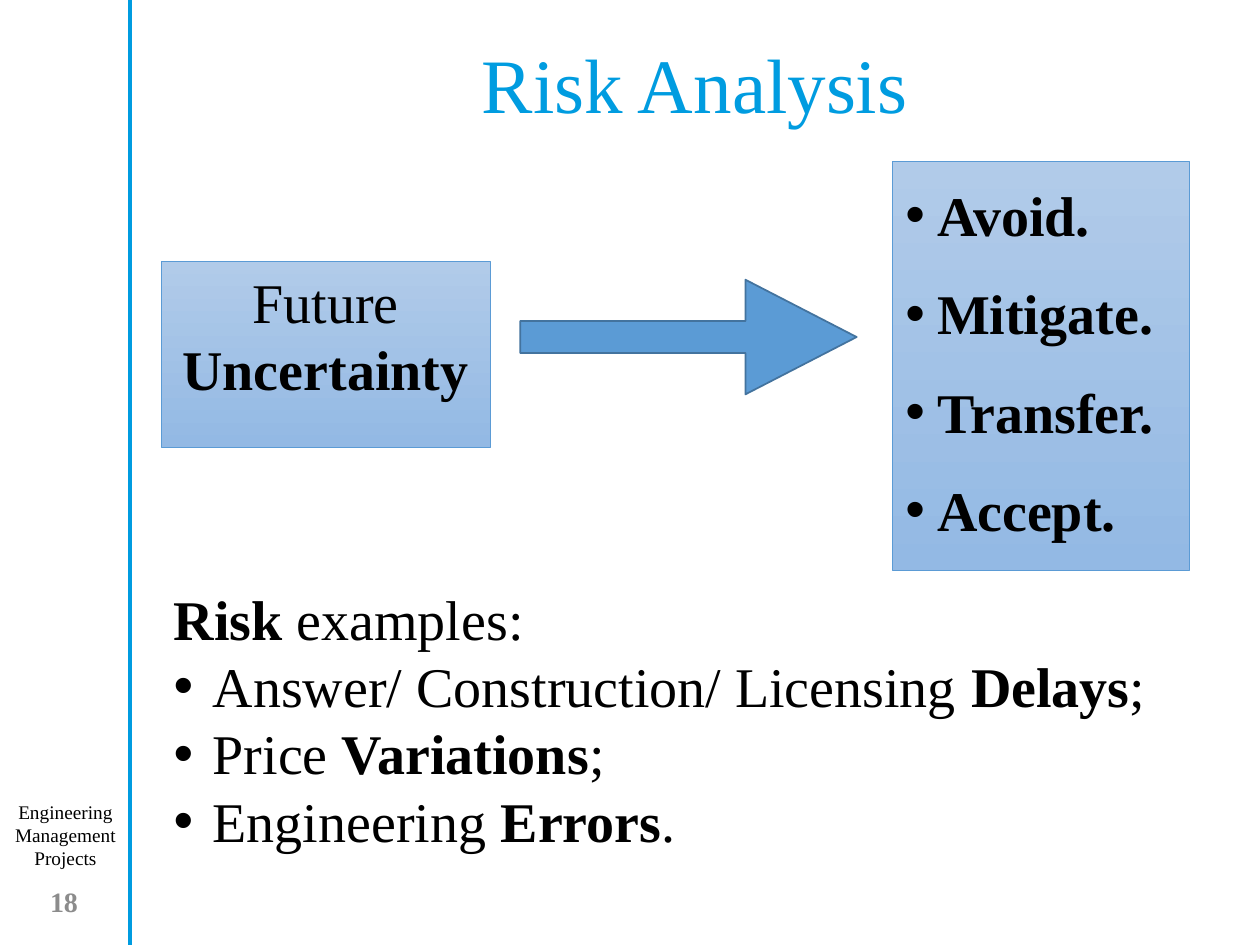
from lxml.etree import SubElement
from pptx import Presentation
from pptx.dml.color import RGBColor
from pptx.enum.shapes import MSO_CONNECTOR, MSO_SHAPE
from pptx.enum.text import MSO_ANCHOR, PP_ALIGN
from pptx.oxml.ns import qn
from pptx.util import Cm, Pt

FONT = "Times New Roman"
BLACK = RGBColor(0x00, 0x00, 0x00)
GREY = RGBColor(0x8C, 0x8C, 0x8C)
CYAN = RGBColor(0x00, 0x9C, 0xE0)
BLUE = RGBColor(0x5B, 0x9B, 0xD5)
DARK_BLUE = RGBColor(0x43, 0x73, 0x9E)
PALE_TOP = RGBColor(0xB1, 0xCB, 0xE9)
PALE_BOTTOM = RGBColor(0x93, 0xB9, 0xE4)


def add_bullet(paragraph, indent):
    properties = paragraph._p.get_or_add_pPr()
    properties.set("marL", str(indent))
    properties.set("indent", str(-indent))
    SubElement(properties, qn("a:buFont"), typeface="Arial")
    SubElement(properties, qn("a:buChar"), char="•")


def write(shape, lines, size=32, color=BLACK, align=PP_ALIGN.LEFT,
          anchor=MSO_ANCHOR.TOP, spacing=None, before=None):
    frame = shape.text_frame
    frame.word_wrap = True
    frame.vertical_anchor = anchor
    for index, (runs, indent) in enumerate(lines):
        paragraph = frame.add_paragraph() if index else frame.paragraphs[0]
        paragraph.alignment = align
        paragraph.line_spacing = spacing
        paragraph.space_before = before
        paragraph.font.name = FONT
        paragraph.font.size = Pt(size)
        paragraph.font.color.rgb = color
        if indent:
            add_bullet(paragraph, indent)
        for text, bold in runs:
            run = paragraph.add_run()
            run.text = text
            run.font.bold = bold


def add_text(slide, left, top, width, height, lines, **style):
    box = slide.shapes.add_textbox(Cm(left), Cm(top), Cm(width), Cm(height))
    write(box, lines, **style)


def add_block(slide, kind, left, top, width, height, line_color, line_width):
    shape = slide.shapes.add_shape(kind, Cm(left), Cm(top), Cm(width), Cm(height))
    shape.shadow.inherit = False
    shape.line.color.rgb = line_color
    shape.line.width = Pt(line_width)
    return shape


def add_panel(slide, left, top, width, height, lines, **style):
    panel = add_block(slide, MSO_SHAPE.RECTANGLE, left, top, width, height, BLUE, 0.5)
    panel.fill.gradient()
    panel.fill.gradient_angle = 270
    for stop, color in zip(panel.fill.gradient_stops, (PALE_TOP, PALE_BOTTOM)):
        stop.color.rgb = color
    write(panel, lines, **style)


def add_arrow(slide, left, top, width, height):
    arrow = add_block(slide, MSO_SHAPE.RIGHT_ARROW, left, top, width, height, DARK_BLUE, 1)
    arrow.fill.solid()
    arrow.fill.fore_color.rgb = BLUE
    arrow.adjustments[0] = 0.28
    arrow.adjustments[1] = 0.97


def add_margin_line(slide, left, bottom):
    line = slide.shapes.add_connector(MSO_CONNECTOR.STRAIGHT, Cm(left), 0, Cm(left), bottom)
    line.line.color.rgb = CYAN
    line.line.width = Pt(2.75)
    SubElement(line._element.spPr, qn("a:effectLst"))


def main():
    presentation = Presentation()
    presentation.slide_width = Cm(25.4)
    presentation.slide_height = Cm(19.05)
    slide = presentation.slides.add_slide(presentation.slide_layouts[6])

    add_margin_line(slide, 2.62, presentation.slide_height)
    add_text(slide, 0, 16, 2.64, 1.68,
             [([("Engineering Management Projects", False)], None)],
             size=11, align=PP_ALIGN.CENTER)
    add_text(slide, -0.03, 17.65, 2.64, 1.02, [([("18", True)], None)],
             size=16, color=GREY, align=PP_ALIGN.CENTER, anchor=MSO_ANCHOR.MIDDLE)
    add_text(slide, 3.48, 0.61, 21.06, 2.36, [([("Risk Analysis", False)], None)],
             size=44, color=CYAN, align=PP_ALIGN.CENTER,
             anchor=MSO_ANCHOR.MIDDLE, spacing=0.9)

    add_panel(slide, 3.25, 5.27, 6.63, 3.75,
              [([("Future", False), (" Uncertainty", True)], None)],
              align=PP_ALIGN.CENTER)
    add_arrow(slide, 10.49, 5.64, 6.78, 2.31)
    responses = ("Avoid.", "Mitigate.", "Transfer.", "Accept.")
    add_panel(slide, 18, 3.25, 5.98, 8.26,
              [([(response, True)], Cm(0.64)) for response in responses],
              spacing=1.2, before=Pt(10))

    examples = (
        ("Answer/ Construction/ Licensing ", "Delays", ";"),
        ("Price ", "Variations", ";"),
        ("Engineering ", "Errors", "."),
    )
    lines = [([("Risk", True), (" examples:", False)], None)]
    lines += [([(cause, False), (effect, True), (mark, False)], Cm(0.79))
              for cause, effect, mark in examples]
    add_text(slide, 3.25, 11.66, 20.75, 5.74, lines)

    presentation.save("out.pptx")


main()
